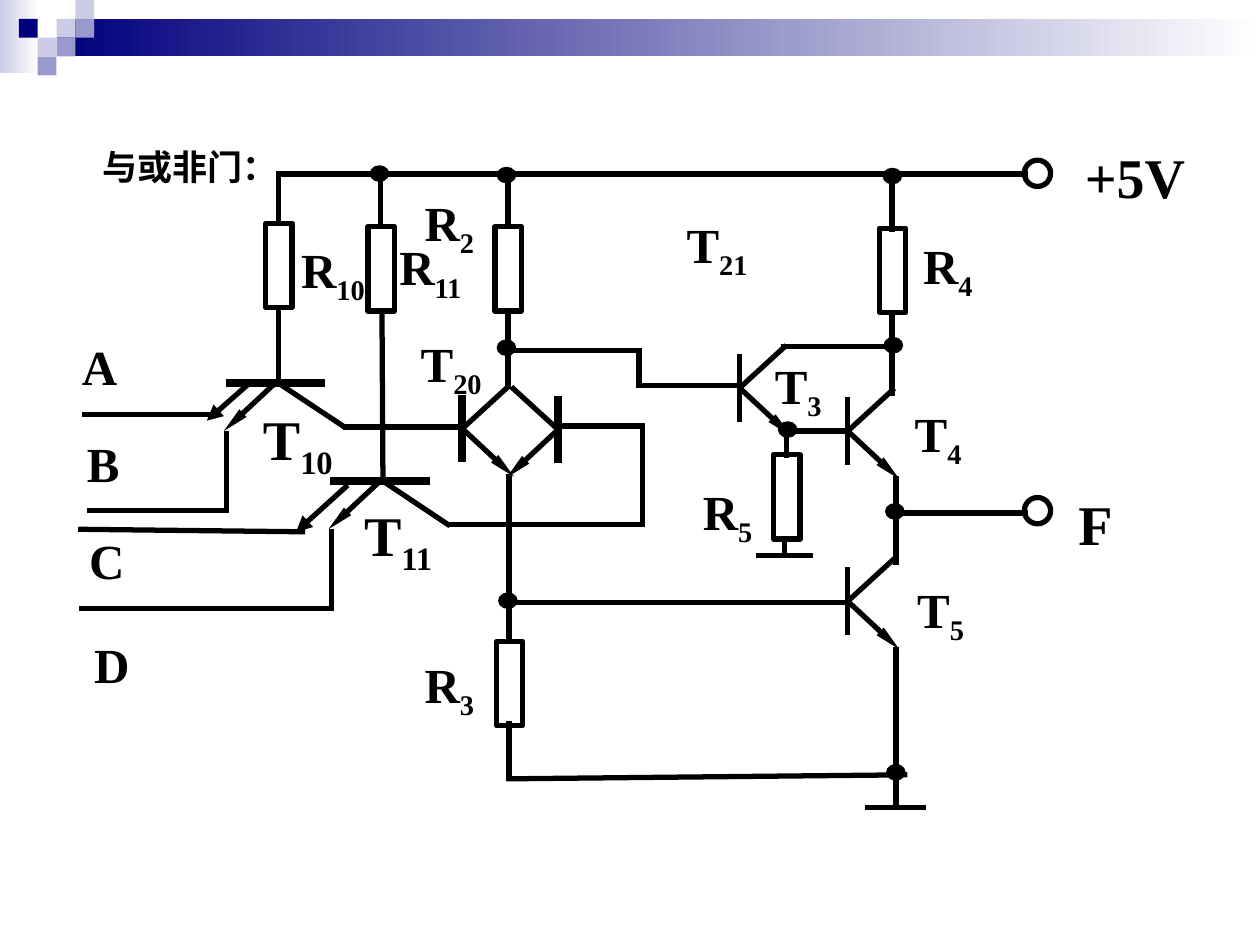
from dataclasses import dataclass

import lxml.etree
import pptx
import pptx.dml.color
import pptx.enum.shapes
import pptx.enum.text
import pptx.oxml.ns
import pptx.util
from pptx.util import Cm

SHAPES = pptx.enum.shapes.MSO_SHAPE
ANCHOR = pptx.enum.text.MSO_ANCHOR
ALIGN = pptx.enum.text.PP_ALIGN


@dataclass(frozen=True)
class Theme:
    font: str = "Times New Roman"
    ink: str = "000000"
    navy: str = "00007D"
    lilac: str = "9999CC"
    pale: str = "CCCCE6"
    paper: str = "FFFFFF"
    title_size: float = 20
    label_size: float = 28
    large_size: float = 32
    wire: float = 3
    thick: float = 4.5
    thin: float = 1


THEME = Theme()

# All places are in centimetres.
RESISTORS = [(5.36, 4.5), (7.42, 4.57), (9.98, 4.57), (17.73, 4.6),
             (10.01, 12.93), (15.6, 9.17)]
TERMINALS = [(20.65, 3.23), (20.65, 10.03)]
JUNCTIONS = [(10.03, 3.38), (7.47, 3.35), (17.81, 3.4), (17.88, 15.42),
             (10.06, 11.96), (10.03, 6.86), (17.83, 6.81), (15.7, 8.51),
             (17.86, 10.16)]
WIRES = [
    # supply rail and the resistors below it
    [(5.64, 3.51), (20.68, 3.51)],
    [(5.61, 3.51), (5.61, 4.47)], [(5.61, 6.22), (5.61, 7.72)],
    [(7.67, 3.51), (7.67, 4.5)], [(7.7, 6.27), (7.72, 9.7)],
    [(10.24, 3.51), (10.24, 4.57)], [(10.24, 6.27), (10.24, 7.77)],
    [(17.98, 3.51), (17.98, 4.62)], [(17.98, 6.3), (17.98, 7.92)],
    # inputs A to D
    [(4.19, 8.36), (1.7, 8.36)],
    [(4.57, 8.75), (4.57, 10.29), (1.8, 10.29)],
    [(1.63, 10.67), (6.1, 10.72)],
    [(6.68, 10.72), (6.68, 12.27), (1.65, 12.27)],
    # links between transistors
    [(6.96, 8.61), (9.32, 8.61)],
    [(11.2, 8.59), (12.95, 8.59), (12.95, 10.57), (9.09, 10.57)],
    [(10.26, 7.06), (12.88, 7.06), (12.88, 7.77), (14.91, 7.77)],
    [(15.8, 6.98), (17.98, 6.98)],
    [(15.8, 8.69), (17.09, 8.69)],
    [(10.36, 12.14), (17.07, 12.14)],
    # R5 and R3 to ground
    [(15.85, 8.64), (15.85, 9.17)], [(15.82, 10.85), (15.82, 11.2)],
    [(15.29, 11.2), (16.33, 11.2)],
    [(10.26, 9.6), (10.26, 12.93)],
    [(10.26, 14.58), (10.26, 15.7), (18.24, 15.62)],
    # output column
    [(18.06, 9.65), (18.06, 11.33)], [(18.06, 10.34), (20.68, 10.34)],
    [(18.06, 13.1), (18.06, 16.28)], [(17.5, 16.28), (18.62, 16.28)],
]
# text, subscript, left, top, width
LABELS = [
    ("R", "4", 18.36, 4.62, 2.87), ("R", "10", 5.82, 4.7, 2.87),
    ("R", "11", 7.8, 4.65, 2.87), ("R", "2", 8.31, 3.76, 2.87),
    ("R", "3", 8.31, 13.06, 2.82), ("R", "5", 13.92, 9.58, 1.73),
    ("T", "20", 8.23, 6.6, 2.08), ("T", "21", 13.59, 4.19, 2.51),
    ("T", "3", 15.37, 7.04, 2.72), ("T", "4", 18.19, 8, 1.83),
    ("T", "5", 18.24, 11.56, 1.83),
    ("A", "", 1.4, 6.65, 1.93), ("B", "", 1.5, 8.61, 1.93),
    ("C", "", 1.55, 10.57, 1.93), ("D", "", 1.65, 12.67, 1.93),
]
LARGE_LABELS = [
    ("+5V", "", 21.62, 2.74, 3.45), ("F", "", 21.49, 9.75, 2.03),
    ("T", "10", 5.05, 8.03, 1.98), ("T", "11", 7.09, 9.96, 1.98),
]


def rgb(value):
    return pptx.dml.color.RGBColor.from_string(value)


def apply_format(target, values):
    for name, value in values.items():
        setattr(target, name, value)


def add_shape(slide, kind, box, fill=None, line_width=None):
    shape = slide.shapes.add_shape(kind, *map(Cm, box))
    shape.shadow.inherit = False
    if fill:
        shape.fill.solid()
        shape.fill.fore_color.rgb = rgb(fill)
    else:
        shape.fill.background()
    if line_width:
        shape.line.color.rgb = rgb(THEME.ink)
        shape.line.width = pptx.util.Pt(line_width)
    else:
        shape.line.fill.background()
    return shape


def add_fade(slide, box, start):
    """Borderless bar that fades from start to the paper colour."""
    shape = add_shape(slide, SHAPES.RECTANGLE, box)
    shape.fill.gradient()
    shape.fill.gradient_angle = 0
    for stop, colour in zip(shape.fill.gradient_stops, (start, THEME.paper)):
        stop.color.rgb = rgb(colour)


def add_line(slide, start, end, width=THEME.wire, arrow=None):
    """Straight line; arrow holds the attributes of the head at its end."""
    line = slide.shapes.add_connector(
        pptx.enum.shapes.MSO_CONNECTOR.STRAIGHT, *map(Cm, (*start, *end)))
    line.line.color.rgb = rgb(THEME.ink)
    line.line.width = pptx.util.Pt(width)
    if arrow:
        lxml.etree.SubElement(line.line._get_or_add_ln(),
                              pptx.oxml.ns.qn("a:tailEnd"), type="triangle", **arrow)
    lxml.etree.SubElement(line._element.spPr, pptx.oxml.ns.qn("a:effectLst"))
    return line


def add_wire(slide, points):
    for start, end in zip(points, points[1:]):
        line = add_line(slide, start, end)
        line.line._get_or_add_ln().set("cap", "sq")


SLIM_ARROW = {"w": "sm", "len": "lg"}
WIDE_ARROW = {"w": "med", "len": "med"}


def add_transistor(slide, x, y, side=1, bar=THEME.wire):
    """Upright transistor with its base at x, y; side -1 faces left."""
    add_line(slide, (x, y - 0.68), (x, y + 0.68), bar)
    add_line(slide, (x, y), (x + side * 1.04, y + 0.97), arrow=SLIM_ARROW)
    add_line(slide, (x, y), (x + side * 0.94, y - 0.86))


def add_input_transistor(slide, x, y, outer_start, outer_end):
    """Flat transistor with two emitters."""
    add_line(slide, (x - 1, y), (x + 1, y), THEME.thick)
    add_line(slide, (x, y), (x - 1.04, y + 0.97), arrow=SLIM_ARROW)
    add_line(slide, (x + 0.06, y), (x + 1.41, y + 0.9))
    add_line(slide, outer_start, outer_end, arrow=WIDE_ARROW)


def add_label(slide, text, subscript, box, size, **frame_format):
    frame = slide.shapes.add_textbox(*map(Cm, box)).text_frame
    apply_format(frame, {
        "word_wrap": True,
        "auto_size": pptx.enum.text.MSO_AUTO_SIZE.SHAPE_TO_FIT_TEXT,
        **frame_format})
    paragraph = frame.paragraphs[0]
    for part in filter(None, (text, subscript)):
        run = paragraph.add_run()
        run.text = part
        apply_format(run.font, {"name": THEME.font, "bold": True,
                                "size": pptx.util.Pt(size)})
        run.font.color.rgb = rgb(THEME.ink)
    if subscript:
        run._r.get_or_add_rPr().set("baseline", "-25000")
    return paragraph


def add_header(slide):
    add_fade(slide, (0, 0, 0.79, 1.47), THEME.pale)
    add_fade(slide, (1.14, 0.38, 24.26, 0.76), THEME.navy)
    cell = 0.38
    tiles = [(3, 1, THEME.pale), (4, 0, THEME.pale), (4, 1, THEME.lilac),
             (2, 2, THEME.pale), (1, 1, THEME.navy), (3, 2, THEME.lilac),
             (2, 3, THEME.lilac)]
    for column, row, colour in tiles:
        add_shape(slide, SHAPES.RECTANGLE,
                  (column * cell, row * cell, cell, cell), colour)


def main():
    presentation = pptx.Presentation()
    apply_format(presentation, {"slide_width": Cm(25.4), "slide_height": Cm(19.05)})
    slide = presentation.slides.add_slide(presentation.slide_layouts[6])
    add_header(slide)

    for points in WIRES:
        add_wire(slide, points)
    add_input_transistor(slide, 5.55, 7.72, (5, 7.75), (4.17, 8.48))
    add_input_transistor(slide, 7.66, 9.7, (7.01, 9.78), (5.97, 10.72))
    add_transistor(slide, 9.32, 8.64, bar=THEME.thick)
    add_transistor(slide, 11.25, 8.66, side=-1, bar=THEME.thick)
    for x, y in [(14.91, 7.82), (17.09, 8.69), (17.09, 12.12)]:
        add_transistor(slide, x, y)

    for left, top in RESISTORS:
        add_shape(slide, SHAPES.RECTANGLE, (left, top, 0.53, 1.7), line_width=THEME.wire)
    for left, top in TERMINALS:
        add_shape(slide, SHAPES.OVAL, (left, top, 0.53, 0.53), line_width=THEME.wire)
    for left, top in JUNCTIONS:
        add_shape(slide, SHAPES.OVAL, (left, top, 0.36, 0.3), THEME.ink, THEME.thin)

    for labels, size, height in [(LABELS, THEME.label_size, 1.45),
                                 (LARGE_LABELS, THEME.large_size, 1.6)]:
        for text, subscript, left, top, width in labels:
            add_label(slide, text, subscript, (left, top, width, height), size)
    title = add_label(slide, "与或非门：", "", (1.5, 2.82, 3.96, 1.09), THEME.title_size,
                      word_wrap=False, vertical_anchor=ANCHOR.MIDDLE)
    title.alignment = ALIGN.CENTER
    presentation.save("out.pptx")


if __name__ == "__main__":
    main()
